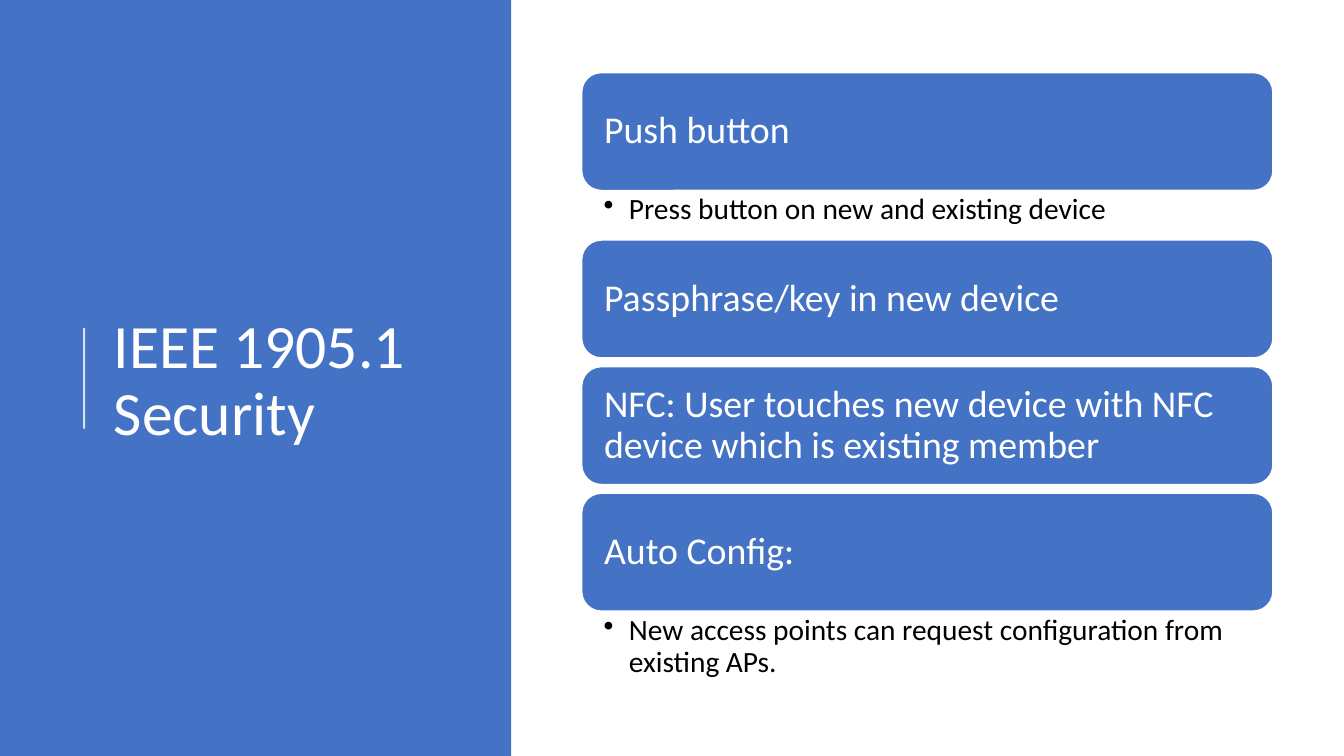
from lxml.etree import SubElement
from pptx import Presentation
from pptx.dml.color import RGBColor
from pptx.enum.shapes import MSO_CONNECTOR as Connector, MSO_SHAPE as Preset
from pptx.enum.text import MSO_ANCHOR as Anchor, PP_ALIGN as Align
from pptx.oxml.ns import qn
from pptx.util import Cm, Pt

COLORS = {"blue": "4472C4", "white": "FFFFFF", "black": "000000"}
FONT = "Calibri"
SLIDE_WIDTH, SLIDE_HEIGHT = 33.87, 19.05
CARD_LEFT, CARD_TOP, CARD_WIDTH, CARD_HEIGHT = 14.66, 1.83, 17.42, 2.97
CARD_GAP = 0.22
# Heading, detail line and space below the card of each security method.
METHODS = [
    ("Push button", "Press button on new and existing device", 1.25),
    ("Passphrase/key in new device", None, CARD_GAP),
    ("NFC: User touches new device with NFC device which is existing member",
     None, CARD_GAP),
    ("Auto Config:",
     "New access points can request configuration from existing APs.", 1.83),
]


def color(name):
    """Return the named colour."""
    return RGBColor.from_string(COLORS[name])


def set_format(target, values):
    """Set each attribute of target from a dict."""
    for name, value in values.items():
        setattr(target, name, value)


class SlideBuilder:
    """Holds the slide and its style, and draws each kind of element."""

    def __init__(self, slide, font):
        """Keep the current slide and its font name."""
        self.slide = slide
        self.font = font

    def add_text(self, shape, text, size, color_name, insets, anchor):
        """Fill a shape with one left-aligned paragraph and return it."""
        frame = shape.text_frame
        set_format(frame, {"word_wrap": True, "vertical_anchor": anchor})
        sides = ("margin_left", "margin_top", "margin_right", "margin_bottom")
        set_format(frame, dict(zip(sides, map(Cm, insets))))
        paragraph = frame.paragraphs[0]
        set_format(paragraph, {"alignment": Align.LEFT, "line_spacing": 0.9})
        run = paragraph.add_run()
        run.text = text
        set_format(run.font, {"name": self.font, "size": Pt(size)})
        run.font.color.rgb = color(color_name)
        return paragraph

    def block(self, preset, box, outline=None):
        """Add a blue preset shape, with an outline if one is named."""
        shape = self.slide.shapes.add_shape(preset, *map(Cm, box))
        shape.shadow.inherit = False
        shape.fill.solid()
        shape.fill.fore_color.rgb = color("blue")
        if outline:
            shape.line.color.rgb = color(outline)
            shape.line.width = Pt(1)
        else:
            shape.line.fill.background()
        return shape

    def title(self, text, box):
        """Add the slide title."""
        shape = self.slide.shapes.add_textbox(*map(Cm, box))
        self.add_text(shape, text, 44, "white", (0.25, 0.13, 0.25, 0.13),
                      Anchor.MIDDLE)

    def rule(self, start, end):
        """Add a slightly transparent white line."""
        line = self.slide.shapes.add_connector(
            Connector.STRAIGHT, *map(Cm, start + end))
        line.line.color.rgb = color("white")
        line.line.width = Pt(1.5)
        properties = line._element.spPr
        fill_color = next(properties.iter(qn("a:srgbClr")))
        SubElement(fill_color, qn("a:alpha"), val="80000")
        SubElement(properties, qn("a:effectLst"))

    def card(self, heading, box):
        """Add a rounded card with its heading."""
        shape = self.block(Preset.ROUNDED_RECTANGLE, box, "white")
        self.add_text(shape, heading, 27, "white", (0.42, 0.27, 0.42, 0.27),
                      Anchor.MIDDLE)

    def detail(self, text, box):
        """Add a bulleted line with a hanging indent."""
        shape = self.slide.shapes.add_textbox(*map(Cm, box))
        paragraph = self.add_text(shape, text, 21, "black",
                                  (0.55, 0.1, 0.53, 0.1), Anchor.TOP)
        properties = paragraph._p.get_or_add_pPr()
        properties.set("marL", str(Cm(0.64)))
        properties.set("indent", str(-Cm(0.64)))
        SubElement(properties, qn("a:buChar"), char="•")


def main():
    """Build the slide and save it."""
    presentation = Presentation()
    set_format(presentation, {"slide_width": Cm(SLIDE_WIDTH),
                              "slide_height": Cm(SLIDE_HEIGHT)})
    slide = presentation.slides.add_slide(presentation.slide_layouts[6])
    builder = SlideBuilder(slide, FONT)
    builder.block(Preset.RECTANGLE, (0, 0, 12.88, SLIDE_HEIGHT))
    builder.rule((2.12, 10.8), (2.12, 8.26))
    builder.title("IEEE 1905.1 Security", (2.62, 1.98, 9.37, 15.29))

    top = CARD_TOP
    for heading, detail, space in METHODS:
        builder.card(heading, (CARD_LEFT, top, CARD_WIDTH, CARD_HEIGHT))
        top += CARD_HEIGHT
        if detail:
            builder.detail(detail, (CARD_LEFT, top, CARD_WIDTH, space))
        top += space
    presentation.save("out.pptx")


main()
